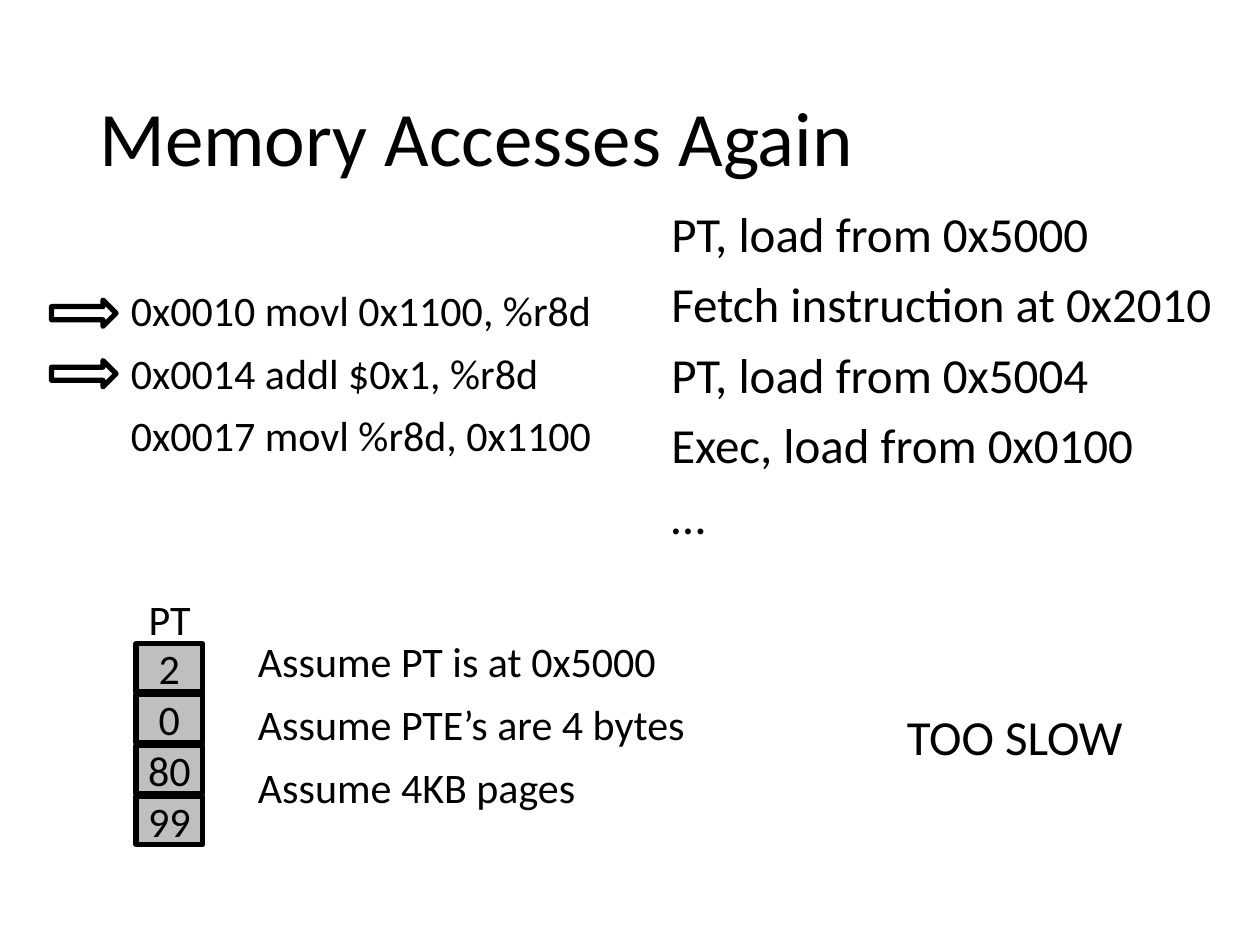
from dataclasses import dataclass

from lxml.etree import SubElement
from pptx import Presentation
from pptx.dml.color import RGBColor
from pptx.enum.shapes import MSO_SHAPE
from pptx.enum.text import MSO_ANCHOR, MSO_AUTO_SIZE, PP_ALIGN
from pptx.oxml.ns import qn
from pptx.util import Cm, Pt


@dataclass(frozen=True)
class Theme:
    font: str = "Calibri"
    ink: RGBColor = RGBColor(0x00, 0x00, 0x00)
    cell: RGBColor = RGBColor(0xBF, 0xBF, 0xBF)
    title: Pt = Pt(44)
    large: Pt = Pt(28)
    normal: Pt = Pt(24)
    outline: Pt = Pt(3)


theme = Theme()


def write(shape, lines, size, align=PP_ALIGN.LEFT, anchor=MSO_ANCHOR.TOP, spacing=0.9, before=10):
    frame = shape.text_frame
    frame.word_wrap = True
    frame.auto_size = MSO_AUTO_SIZE.NONE
    frame.vertical_anchor = anchor
    for index, line in enumerate(lines):
        para = frame.add_paragraph() if index else frame.paragraphs[0]
        para.alignment = align
        para.line_spacing = spacing
        para.space_before = Pt(before)
        span = para.add_run()
        span.text = line
        span.font.name = theme.font
        span.font.size = size
        span.font.color.rgb = theme.ink


def place(shape, left, top, width, height):
    shape.left, shape.top = Cm(left), Cm(top)
    shape.width, shape.height = Cm(width), Cm(height)


deck = Presentation()
deck.slide_width, deck.slide_height = Cm(25.4), Cm(19.05)
page = deck.slides.add_slide(deck.slide_layouts[1])

title = page.shapes.title
place(title, 1.75, 1.02, 21.9, 3.68)
write(title, ["Memory Accesses Again"], theme.title, anchor=MSO_ANCHOR.MIDDLE, before=0)

accesses = page.placeholders[1]
place(accesses, 13.28, 4.11, 11.46, 12.09)
write(accesses, [
    "PT, load from 0x5000",
    "Fetch instruction at 0x2010",
    "PT, load from 0x5004",
    "Exec, load from 0x0100",
    "…",
], theme.large)
for para in accesses.text_frame.paragraphs:
    properties = para._p.get_or_add_pPr()
    properties.set("marL", "0")
    properties.set("indent", "0")
    SubElement(properties, qn("a:buNone"))

instructions = ["0x0010 movl 0x1100, %r8d", "0x0014 addl $0x1, %r8d", "0x0017 movl %r8d, 0x1100"]
assumptions = ["Assume PT is at 0x5000", "Assume PTE’s are 4 bytes", "Assume 4KB pages"]
notes = [
    (2.39, 5.72, 10.69, 4.22, instructions, theme.normal),
    (4.95, 12.8, 10.69, 4.22, assumptions, theme.normal),
    (18.03, 14.25, 5.33, 1.35, ["TOO SLOW"], theme.large),
]
for left, top, width, height, lines, size in notes:
    box = page.shapes.add_textbox(Cm(left), Cm(top), Cm(width), Cm(height))
    write(box, lines, size)

for row in range(2):
    arrow = page.shapes.add_shape(
        MSO_SHAPE.RIGHT_ARROW, Cm(1.04), Cm(6.05 + 1.22 * row), Cm(1.3), Cm(0.53))
    arrow.shadow.inherit = False
    arrow.fill.background()
    arrow.line.color.rgb = theme.ink
    arrow.line.width = theme.outline

page_table = page.shapes.add_group_shape()
label = page_table.shapes.add_textbox(Cm(2.57), Cm(11.84), Cm(1.7), Cm(1.27))
write(label, ["PT"], theme.normal, PP_ALIGN.CENTER, spacing=1.0, before=0)
for row, entry in enumerate(["2", "0", "80", "99"]):
    cell = page_table.shapes.add_shape(
        MSO_SHAPE.RECTANGLE, Cm(2.74), Cm(12.98 + 1.025 * row), Cm(1.35), Cm(0.97))
    cell.shadow.inherit = False
    cell.fill.solid()
    cell.fill.fore_color.rgb = theme.cell
    cell.line.color.rgb = theme.ink
    cell.line.width = theme.outline
    frame = cell.text_frame
    frame.margin_left = frame.margin_right = frame.margin_top = frame.margin_bottom = 0
    write(cell, [entry], theme.normal, PP_ALIGN.CENTER, MSO_ANCHOR.MIDDLE, 1.0, 0)

deck.save("out.pptx")
